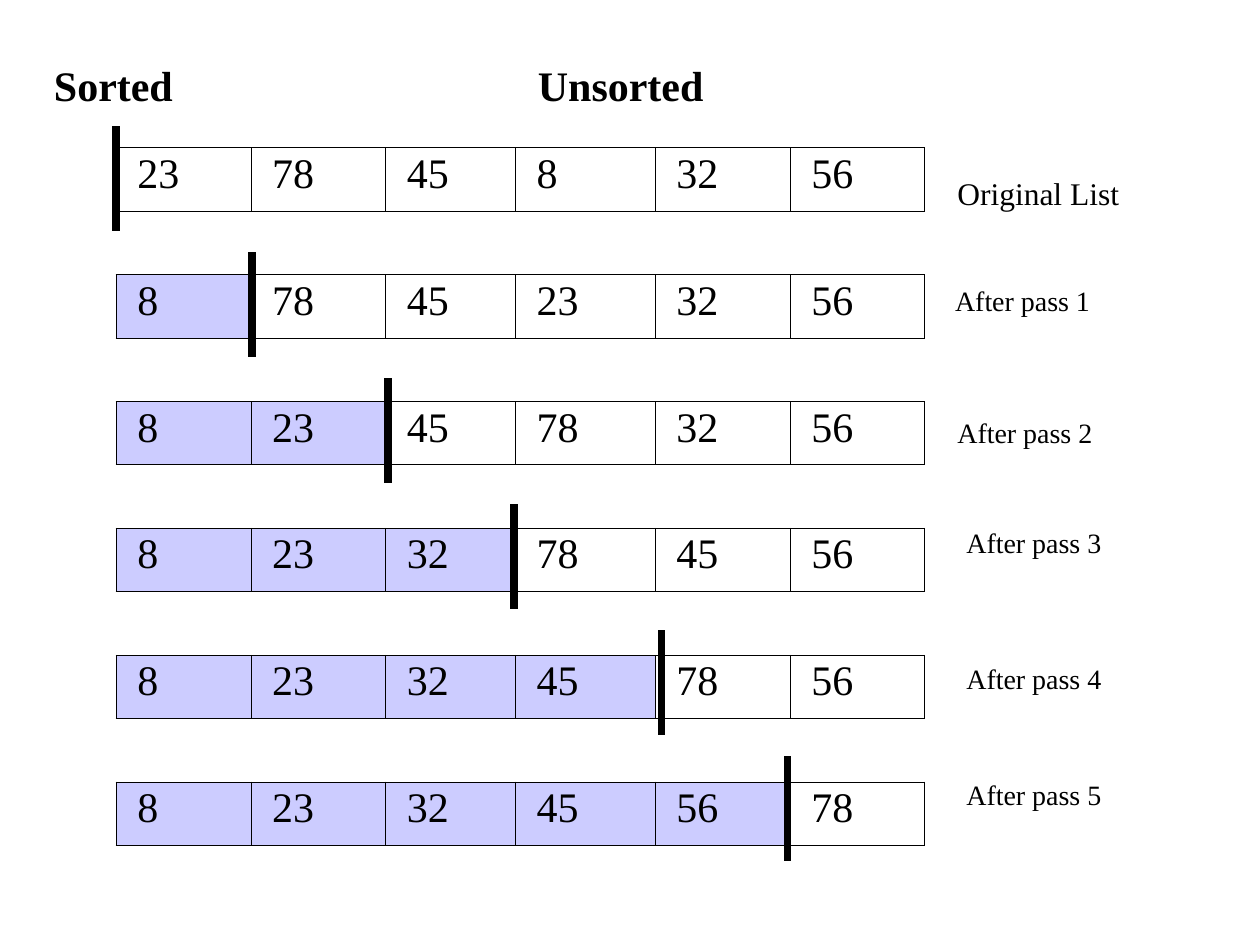
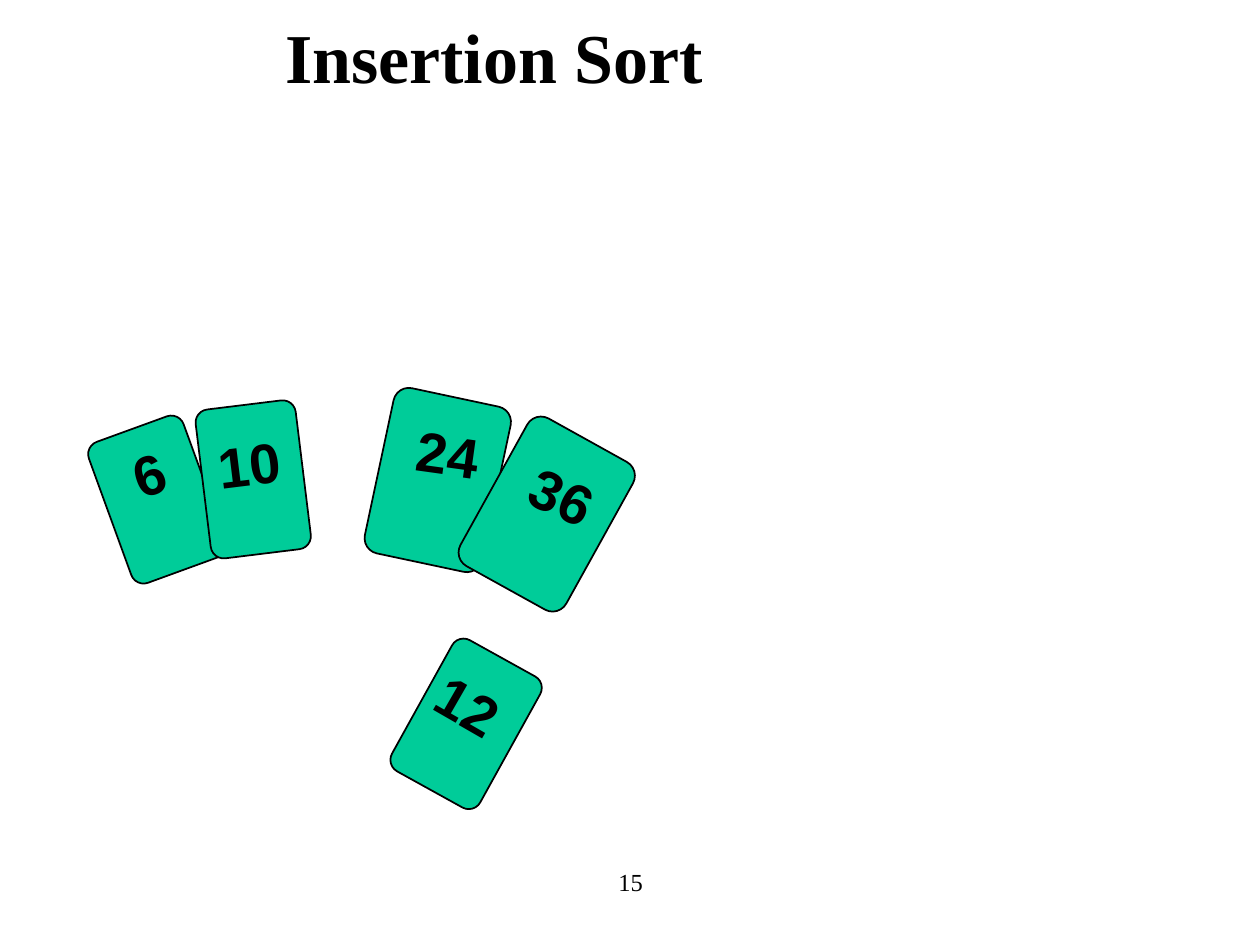
from dataclasses import dataclass

from lxml import etree
from pptx import Presentation
from pptx.dml.color import RGBColor
from pptx.enum import shapes, text
from pptx.oxml import ns
from pptx.util import Inches, Pt

BLACK = RGBColor(0x00, 0x00, 0x00)
SORTED_FILL = RGBColor(0xCC, 0xCC, 0xFF)
CARD_FILL = RGBColor(0x00, 0xCC, 0x99)
SERIF = "Times New Roman"
SANS = "Arial"
INSETS = (0.1, 0.05, 0.1, 0.05)
NO_INSETS = (0, 0, 0, 0)
CELL_INSETS = (0.17, 0.05, 0.1, 0.05)
COLUMN_WIDTHS = (1.07, 1.07, 1.03, 1.11, 1.07, 1.07)
THIN, OUTER = 0.23, 0.5


@dataclass(frozen=True)
class Label:
    words: str
    left: float
    top: float
    width: float
    height: float
    size: int
    bold: bool = False
    font: str = SERIF
    insets: tuple = INSETS
    align: text.PP_ALIGN = text.PP_ALIGN.LEFT
    anchor: text.MSO_ANCHOR = text.MSO_ANCHOR.TOP
    wrap: bool = True
    rotation: int = 0


@dataclass(frozen=True)
class SortPass:
    numbers: tuple
    divider_x: float
    caption: Label


@dataclass(frozen=True)
class Card:
    left: float
    top: float
    width: float
    height: float
    rotation: int
    number: Label


def caption(words: str, left: float, top: float, size: int = 16, insets: tuple = NO_INSETS) -> Label:
    return Label(words, left, top, 1.88, 0.38, size, insets=insets)


def heading(words: str, left: float) -> Label:
    return Label(words, left, 0.42, 1.58, 0.5, 24, bold=True)


def card_number(words: str, left: float, top: float, rotation: int, width: float = 0.7) -> Label:
    return Label(words, left, top, width, 0.63, 32, bold=True, font=SANS, wrap=False, rotation=rotation)


PASSES = (
    SortPass((23, 78, 45, 8, 32, 56), 0.92, caption("Original List", 7.5, 1.33, 18, INSETS)),
    SortPass((8, 78, 45, 23, 32, 56), 2, caption("After pass 1", 7.58, 2.25)),
    SortPass((8, 23, 45, 78, 32, 56), 3.08, caption("After pass 2", 7.5, 3.25, insets=INSETS)),
    SortPass((8, 23, 32, 78, 45, 56), 4.08, caption("After pass 3", 7.67, 4.17)),
    SortPass((8, 23, 32, 45, 78, 56), 5.25, caption("After pass 4", 7.67, 5.25)),
    SortPass((8, 23, 32, 45, 56, 78), 6.25, caption("After pass 5", 7.67, 6.17)),
)
HEADINGS = (heading("Sorted", 0.33), heading("Unsorted", 4.17))
CARDS = (
    Card(0.85, 3.37, 0.8, 1.19, 340, card_number("6", 0.96, 3.44, 341, 0.45)),
    Card(1.61, 3.21, 0.8, 1.19, 353, card_number("10", 1.63, 3.36, 353)),
    Card(3, 3.14, 0.95, 1.34, 12, card_number("24", 3.21, 3.28, 8)),
    Card(3.86, 3.41, 0.96, 1.34, 29, card_number("36", 4.12, 3.62, 25)),
    Card(3.3, 5.15, 0.8, 1.19, 29, card_number("12", 3.37, 5.28, 30)),
)
TITLE = Label("Insertion Sort", 0.37, 0.25, 7.1, 0.57, 40, bold=True,
              align=text.PP_ALIGN.CENTER, anchor=text.MSO_ANCHOR.BOTTOM)
PAGE_NUMBER = Label("15", 3.42, 6.83, 3.17, 0.5, 14, align=text.PP_ALIGN.CENTER)


def set_margins(holder, insets: tuple) -> None:
    (holder.margin_left, holder.margin_top,
     holder.margin_right, holder.margin_bottom) = map(Inches, insets)


def write(paragraph, words: str, size: int, bold: bool = False, font: str = SERIF) -> None:
    run = paragraph.add_run()
    run.text = words
    run.font.name = font
    run.font.size = Pt(size)
    run.font.bold = bold
    run.font.color.rgb = BLACK


def draw_label(slide, label: Label) -> None:
    box = slide.shapes.add_textbox(*map(Inches, (label.left, label.top, label.width, label.height)))
    box.rotation = label.rotation
    frame = box.text_frame
    frame.word_wrap = label.wrap
    frame.vertical_anchor = label.anchor
    set_margins(frame, label.insets)
    paragraph = frame.paragraphs[0]
    paragraph.alignment = label.align
    write(paragraph, label.words, label.size, label.bold, label.font)


def set_borders(cell, left: float, right: float, top: float, bottom: float) -> None:
    properties = cell._tc.get_or_add_tcPr()
    for side, width in zip("LRTB", (left, right, top, bottom)):
        border = etree.SubElement(properties, ns.qn(f"a:ln{side}"), w=str(int(Pt(width))))
        if width:
            fill = etree.SubElement(border, ns.qn("a:solidFill"))
            etree.SubElement(fill, ns.qn("a:srgbClr"), val=str(BLACK))
        else:
            etree.SubElement(border, ns.qn("a:noFill"))


def draw_passes_table(slide) -> None:
    row_count, column_count = 2 * len(PASSES) - 1, len(COLUMN_WIDTHS)
    table = slide.shapes.add_table(row_count, column_count, Inches(0.92), Inches(1.17),
                                   Inches(sum(COLUMN_WIDTHS)), Inches(5.54)).table
    table.first_row = table.horz_banding = False
    for column, width in zip(table.columns, COLUMN_WIDTHS):
        column.width = Inches(width)
    for row_index, row in enumerate(table.rows):
        row.height = Inches(5.54 / row_count)
        pass_index, is_gap = divmod(row_index, 2)
        for column_index, cell in enumerate(row.cells):
            if is_gap:
                set_borders(cell, 0, 0, THIN, THIN)
                cell.fill.background()
                continue
            set_borders(cell,
                        OUTER if column_index == 0 else THIN,
                        OUTER if column_index == column_count - 1 else THIN,
                        OUTER if row_index == 0 else THIN,
                        OUTER if row_index == row_count - 1 else THIN)
            if column_index < pass_index:
                cell.fill.solid()
                cell.fill.fore_color.rgb = SORTED_FILL
            else:
                cell.fill.background()
            set_margins(cell, CELL_INSETS)
            paragraph = cell.text_frame.paragraphs[0]
            paragraph.line_spacing = 0.93
            write(paragraph, str(PASSES[pass_index].numbers[column_index]), 24)


def draw_divider(slide, x: float, top: float) -> None:
    divider = slide.shapes.add_connector(shapes.MSO_CONNECTOR.STRAIGHT,
                                         Inches(x), Inches(top), Inches(x), Inches(top + 0.83))
    divider.line.color.rgb = BLACK
    divider.line.width = Pt(4.5)
    etree.SubElement(divider._element.spPr, ns.qn("a:effectLst"))


def draw_card(slide, card: Card) -> None:
    face = slide.shapes.add_shape(shapes.MSO_SHAPE.ROUNDED_RECTANGLE,
                                  *map(Inches, (card.left, card.top, card.width, card.height)))
    face.adjustments[0] = 0.13
    face.rotation = card.rotation
    face.shadow.inherit = False
    face.fill.solid()
    face.fill.fore_color.rgb = CARD_FILL
    face.line.color.rgb = BLACK
    face.line.width = Pt(1)
    draw_label(slide, card.number)


def build_selection_passes(slide) -> None:
    draw_passes_table(slide)
    for sort_pass in PASSES:
        draw_label(slide, sort_pass.caption)
    for label in HEADINGS:
        draw_label(slide, label)
    for top, sort_pass in enumerate(PASSES, start=1):
        draw_divider(slide, sort_pass.divider_x, top)


def build_insertion_cards(slide) -> None:
    draw_label(slide, PAGE_NUMBER)
    draw_label(slide, TITLE)
    for card in CARDS:
        draw_card(slide, card)


def main() -> None:
    deck = Presentation()
    deck.slide_width, deck.slide_height = Inches(10), Inches(7.5)
    for build in (build_selection_passes, build_insertion_cards):
        build(deck.slides.add_slide(deck.slide_layouts[6]))
    deck.save("out.pptx")


if __name__ == "__main__":
    main()
